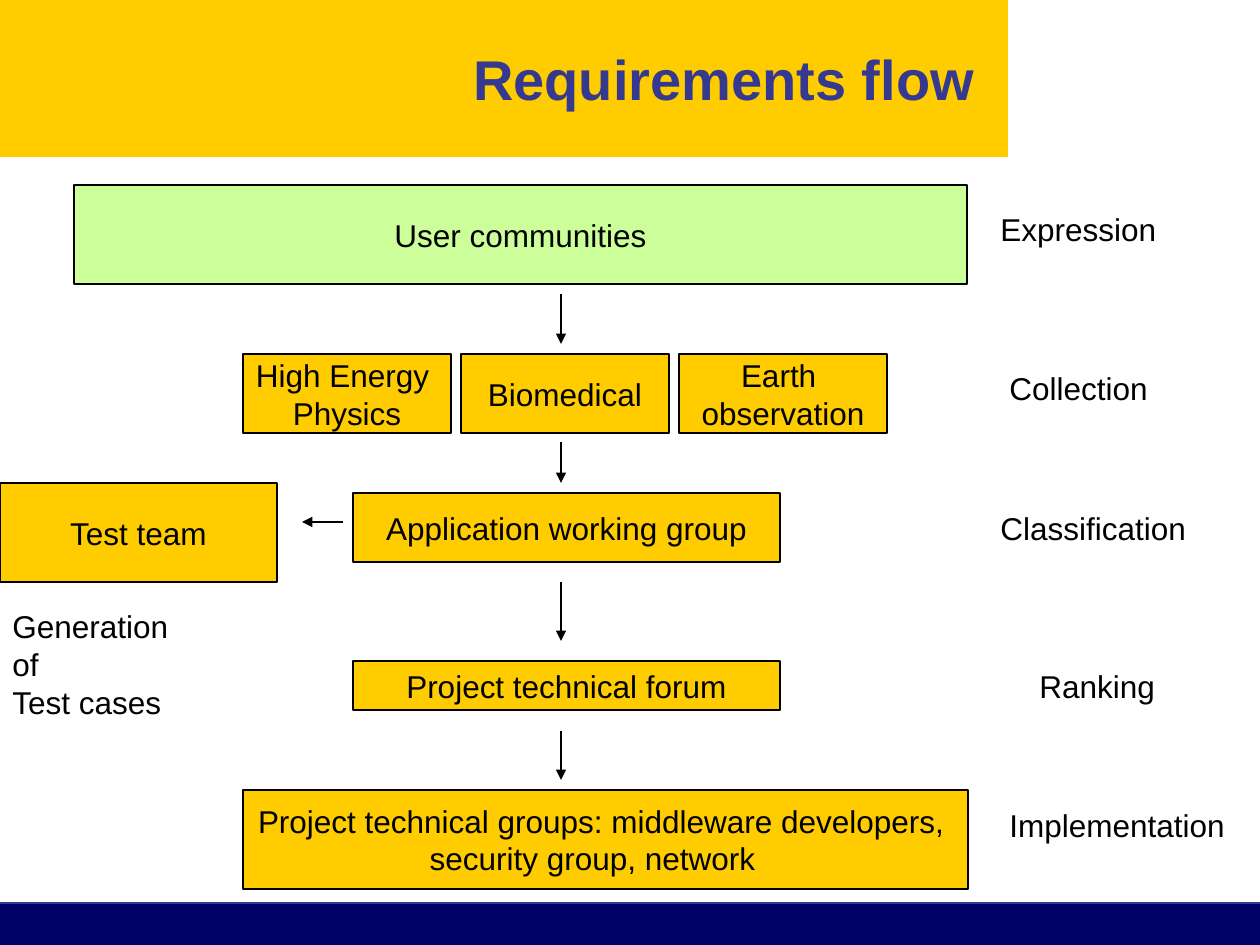
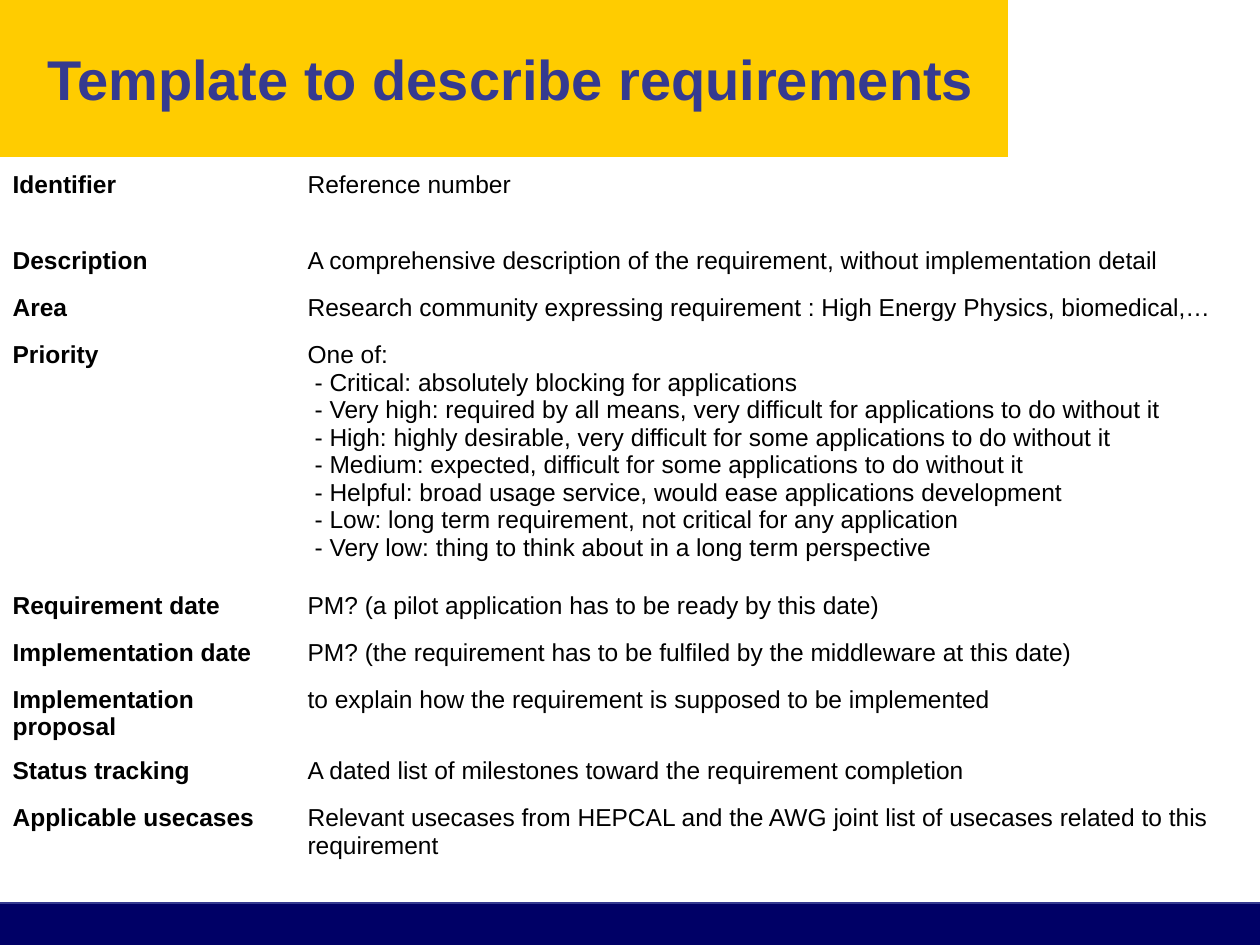
from lxml.etree import SubElement
from pptx import Presentation
from pptx.dml.color import RGBColor
from pptx.enum.shapes import MSO_CONNECTOR as Connector, MSO_SHAPE as Shape
from pptx.enum.text import MSO_ANCHOR as Anchor, PP_ALIGN as Align
from pptx.oxml.ns import qn
from pptx.util import Pt

NAVY = RGBColor(0x00, 0x00, 0x66)
INDIGO = RGBColor(0x35, 0x3A, 0x90)
GOLD = RGBColor(0xFF, 0xCC, 0x00)
GREEN = RGBColor(0xCC, 0xFF, 0x99)
BLACK = RGBColor(0x00, 0x00, 0x00)
FONT = "Arial"
SLIDE_WIDTH, SLIDE_HEIGHT = 1260, 945
FOOTER_TOP = 903

COMMUNITIES = [["High Energy ", "Physics"], ["Biomedical"], ["Earth ", "observation"]]
COMMUNITY_LEFT, COMMUNITY_TOP, COMMUNITY_WIDTH, COMMUNITY_HEIGHT = 243, 354, 208, 79
COMMUNITY_PITCH = 218

BOXES = [
    (["User communities"], (74, 185, 893, 99), GREEN),
    (["Application working group"], (353, 493, 427, 69), GOLD),
    (["Test team"], (0, 483, 277, 99), GOLD),
    (["Project technical forum"], (353, 661, 427, 49), GOLD),
    (["Project technical groups: middleware developers, ", "security group, network"],
     (243, 790, 725, 99), GOLD),
]
RIGHT_INDENTS = {"security group, network": 26}

LABELS = [
    (["Expression"], (988, 204, 189, 50)),
    (["Collection"], (997, 363, 171, 50)),
    (["Classification"], (988, 503, 219, 50)),
    (["Ranking"], (1027, 661, 149, 50)),
    (["Implementation"], (997, 800, 241, 50)),
    (["Generation of", "Test cases"], (0, 601, 215, 88)),
]

FLOW_X = 561
FLOW_STEPS = [(294, 344), (442, 483), (582, 641), (731, 780)]
TEST_ARROW = ((343, 522), (302, 522))

REQUIREMENT_FIELDS = [
    ("Identifier", ["Reference number"], 76),
    ("Description",
     ["A comprehensive description of the requirement, without implementation detail"], 47),
    ("Area",
     ["Research community expressing requirement : High Energy Physics, biomedical,…"], 47),
    ("Priority", [
        "One of:",
        "- Critical: absolutely blocking for applications",
        "- Very high: required by all means, very difficult for applications to do without it",
        "- High: highly desirable, very difficult for some applications to do without it",
        "- Medium: expected, difficult for some applications to do without it",
        "- Helpful: broad usage service, would ease applications development",
        "- Low: long term requirement, not critical for any application",
        "- Very low: thing to think about in a long term perspective",
    ], 251),
    ("Requirement date", ["PM? (a pilot application has to be ready by this date)"], 47),
    ("Implementation date",
     ["PM? (the requirement has to be fulfiled by the middleware at this date)"], 47),
    ("Implementation proposal",
     ["to explain how the requirement is supposed to be implemented"], 71),
    ("Status tracking", ["A dated list of milestones toward the requirement completion"], 47),
    ("Applicable usecases",
     ["Relevant usecases from HEPCAL and the AWG joint list of usecases related to this "
      "requirement"], 72),
]
COLUMN_WIDTHS = (295, 965)
TABLE_TOP = 165
DASH_INDENT = 7


def px(value):
    return round(value * 914400 / 126)


def place(frame):
    return [px(value) for value in frame]


def write(text_frame, lines, size, color=BLACK, bold=False, align=Align.LEFT):
    for index, line in enumerate(lines):
        paragraph = text_frame.add_paragraph() if index else text_frame.paragraphs[0]
        paragraph.alignment = align
        properties = paragraph._p.get_or_add_pPr()
        if line.startswith("- "):
            properties.set("marL", str(px(DASH_INDENT)))
            properties.set("indent", "0")
        if line in RIGHT_INDENTS:
            properties.set("marR", str(px(RIGHT_INDENTS[line])))
        run = paragraph.add_run()
        run.text = line
        run.font.name = FONT
        run.font.size = Pt(size)
        run.font.bold = bold
        run.font.color.rgb = color


def add_rectangle(slide, frame, fill, outlined=False):
    shape = slide.shapes.add_shape(Shape.RECTANGLE, *place(frame))
    shape.shadow.inherit = False
    shape.fill.solid()
    shape.fill.fore_color.rgb = fill
    if outlined:
        shape.line.color.rgb = BLACK
        shape.line.width = Pt(0.75)
    else:
        shape.line.fill.background()
    return shape


def add_line(slide, start, end, color, width, arrow=False):
    line = slide.shapes.add_connector(Connector.STRAIGHT, *place(start + end))
    line.line.color.rgb = color
    line.line.width = Pt(width)
    if arrow:
        SubElement(line.line._get_or_add_ln(), qn("a:tailEnd"), type="triangle")
    SubElement(line._element.spPr, qn("a:effectLst"))


def add_text(slide, frame, lines, size, wrap=False, anchor=Anchor.TOP, **style):
    text_frame = slide.shapes.add_textbox(*place(frame)).text_frame
    text_frame.word_wrap = wrap
    text_frame.vertical_anchor = anchor
    write(text_frame, lines, size, **style)


def add_box(slide, lines, frame, fill):
    text_frame = add_rectangle(slide, frame, fill, outlined=True).text_frame
    text_frame.word_wrap = True
    text_frame.vertical_anchor = Anchor.MIDDLE
    write(text_frame, lines, 18, align=Align.CENTER)


def add_titled_slide(presentation, title):
    slide = presentation.slides.add_slide(presentation.slide_layouts[6])
    add_rectangle(slide, (0, FOOTER_TOP, SLIDE_WIDTH, SLIDE_HEIGHT - FOOTER_TOP), NAVY)
    add_rectangle(slide, (0, 0, 1008, 157), GOLD)
    add_line(slide, (0, FOOTER_TOP), (SLIDE_WIDTH, FOOTER_TOP), INDIGO, 1.5)
    add_text(slide, (10, 31, 977, 95), [title], 32, wrap=True, anchor=Anchor.MIDDLE,
             color=INDIGO, bold=True, align=Align.RIGHT)
    return slide


def build_flow(presentation):
    slide = add_titled_slide(presentation, "Requirements flow")
    for lines, frame, fill in BOXES:
        add_box(slide, lines, frame, fill)
    for index, lines in enumerate(COMMUNITIES):
        left = COMMUNITY_LEFT + index * COMMUNITY_PITCH
        add_box(slide, lines, (left, COMMUNITY_TOP, COMMUNITY_WIDTH, COMMUNITY_HEIGHT), GOLD)
    for lines, frame in LABELS:
        add_text(slide, frame, lines, 18)
    arrows = [((FLOW_X, top), (FLOW_X, bottom)) for top, bottom in FLOW_STEPS]
    for start, end in arrows + [TEST_ARROW]:
        add_line(slide, start, end, BLACK, 0.75, arrow=True)


def build_template(presentation):
    slide = add_titled_slide(presentation, "Template to describe requirements")
    height = sum(row_height for _, _, row_height in REQUIREMENT_FIELDS)
    frame = (0, TABLE_TOP, SLIDE_WIDTH, height)
    table = slide.shapes.add_table(len(REQUIREMENT_FIELDS), 2, *place(frame)).table
    table.first_row = False
    table.horz_banding = False
    for column, width in zip(table.columns, COLUMN_WIDTHS):
        column.width = px(width)
    for row, (field, lines, row_height) in zip(table.rows, REQUIREMENT_FIELDS):
        row.height = px(row_height)
        for cell, content, bold in zip(row.cells, ([field], lines), (True, False)):
            cell.fill.background()
            write(cell.text_frame, content, 14, bold=bold)


def main():
    presentation = Presentation()
    presentation.slide_width = px(SLIDE_WIDTH)
    presentation.slide_height = px(SLIDE_HEIGHT)
    build_flow(presentation)
    build_template(presentation)
    presentation.save("out.pptx")


if __name__ == "__main__":
    main()
